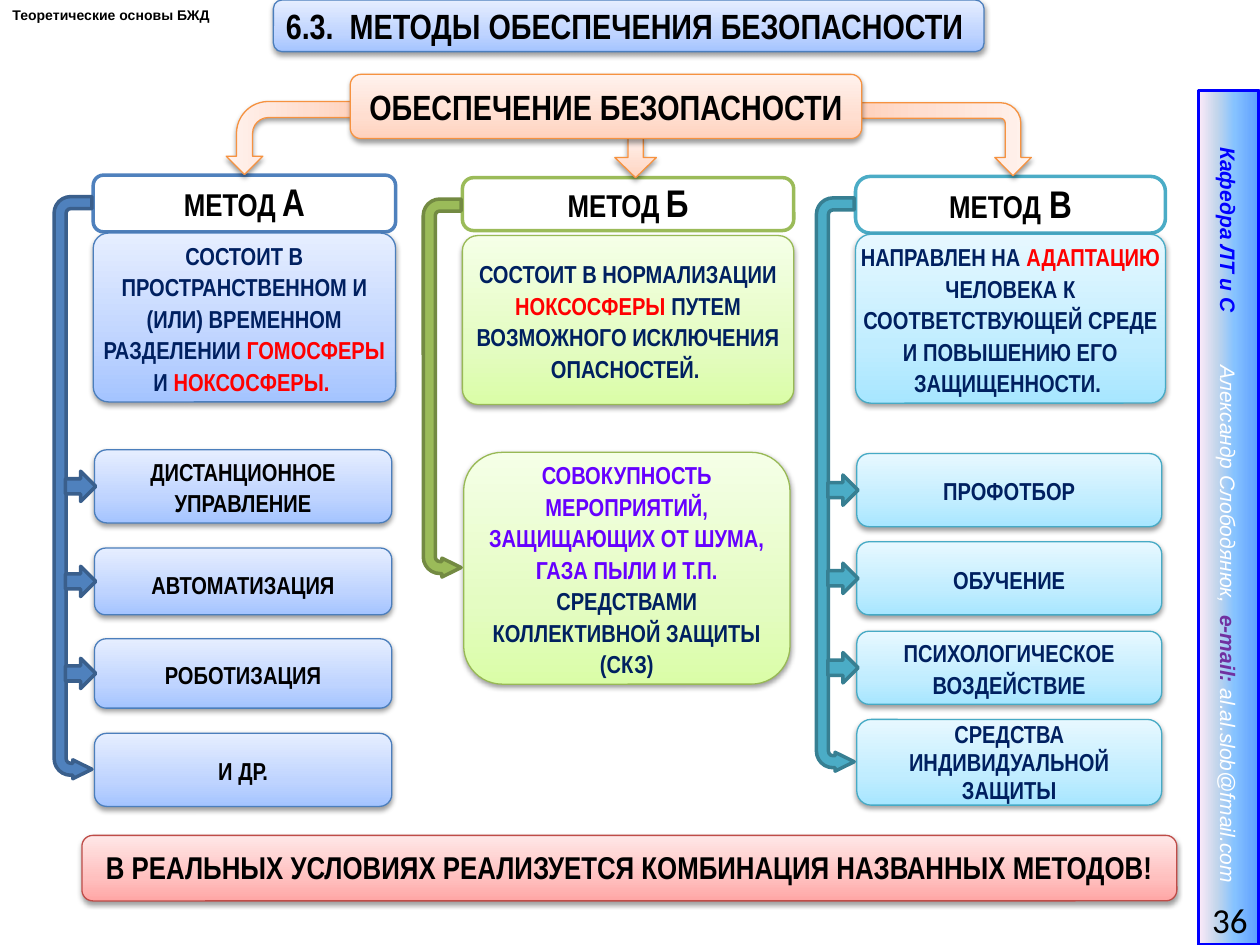
from collections import namedtuple

from lxml import etree
from pptx import Presentation
from pptx.dml.color import RGBColor
from pptx.enum.shapes import MSO_SHAPE
from pptx.enum.text import MSO_ANCHOR, MSO_AUTO_SIZE, PP_ALIGN
from pptx.oxml.ns import qn
from pptx.util import Inches, Pt

ROUNDED, RECTANGLE = MSO_SHAPE.ROUNDED_RECTANGLE, MSO_SHAPE.RECTANGLE
BENT, U_TURN = MSO_SHAPE.BENT_ARROW, MSO_SHAPE.U_TURN_ARROW
DOWN, RIGHT = MSO_SHAPE.DOWN_ARROW, MSO_SHAPE.RIGHT_ARROW
MIDDLE = MSO_ANCHOR.MIDDLE
ALIGN_LEFT, ALIGN_CENTER, ALIGN_RIGHT = PP_ALIGN.LEFT, PP_ALIGN.CENTER, PP_ALIGN.RIGHT

Box = namedtuple("Box", "left top width height")
Theme = namedtuple("Theme", "stops edge accent dark", defaults=(None, None))

BLUE = Theme(((0, "A4C4FF"), (35, "BFD4FF"), (100, "E6EEFF")), "4B7EBC", "4F81BD", "3A5F8C")
GREEN = Theme(((0, "DAFDA7"), (35, "E4FCC2"), (100, "F5FFE7")), "98B955", "9BBB59", "738A42")
CYAN = Theme(((0, "A7E6FF"), (35, "C1EDFF"), (100, "E7F8FF")), "46AAC5", "4BACC6", "377F92")
ORANGE = Theme(((0, "FFD2BD"), (35, "FFDED0"), (100, "FFF2ED")), "F69240")
RED = Theme(((0, "FFA6A5"), (35, "FFC0BF"), (100, "FFE7E7")), "BF4C48")
SKY = ((0, "5E9EFF"), (40, "85C2FF"), (70, "C4D6EB"), (100, "FFEBFA"))
BLACK, NAVY, BRIGHT_RED, WHITE, VIOLET = "000000", "002060", "FF0000", "FFFFFF", "6600FF"
NARROW = "Arial Narrow"


def color(value):
    return RGBColor.from_string(value)


def add_child(parent, tag, **attributes):
    child = etree.SubElement(parent, qn(tag))
    for name, value in attributes.items():
        child.set(name, str(value))
    return child


def fill_gradient(shape, stops, angle):
    shape.fill.gradient()
    shape.fill.gradient_angle = angle
    stop_list = shape._element.spPr.find(qn("a:gradFill")).find(qn("a:gsLst"))
    for old_stop in list(stop_list):
        stop_list.remove(old_stop)
    for percent, value in stops:
        stop = add_child(stop_list, "a:gs", pos=percent * 1000)
        add_child(stop, "a:srgbClr", val=value)


def add_shadow(shape):
    effects = shape._element.spPr.find(qn("a:effectLst"))
    shadow = add_child(effects, "a:outerShdw", blurRad=Pt(3.1), dist=Pt(1.6),
                       dir=5400000, rotWithShape=0)
    add_child(add_child(shadow, "a:srgbClr", val=BLACK), "a:alpha", val=38000)


def add_block(page, kind, box, edge, weight, adjustments=()):
    shape = page.shapes.add_shape(kind, *map(Inches, box))
    shape.shadow.inherit = False
    shape.line.color.rgb = color(edge)
    shape.line.width = Pt(weight)
    for index, value in enumerate(adjustments):
        shape.adjustments[index] = value
    return shape


def add_flat(page, kind, box, fill, edge, adjustments=()):
    shape = add_block(page, kind, box, edge, 2, adjustments)
    shape.fill.solid()
    shape.fill.fore_color.rgb = color(fill)
    return shape


def add_glossy(page, kind, box, theme, adjustments=()):
    shape = add_block(page, kind, box, theme.edge, 0.75, adjustments)
    fill_gradient(shape, theme.stops, 90)
    add_shadow(shape)
    return shape


def add_spans(para, spans, font):
    """Each span is (text, size, colour, bold, italic); the last two may be left out."""
    for text, size, value, *style in spans:
        span = para.add_run()
        span.text = text
        span.font.name, span.font.size = font, Pt(size)
        span.font.color.rgb = color(value)
        span.font.bold, span.font.italic = (style + [True, False][len(style):])


def write(shape, spans, spacing=None, side=0.04, align=ALIGN_CENTER, font=NARROW):
    frame = shape.text_frame
    frame.word_wrap = True
    frame.vertical_anchor = MIDDLE
    frame.margin_left = frame.margin_right = Inches(side)
    frame.margin_top = frame.margin_bottom = Inches(0.04)
    para = frame.paragraphs[0]
    para.alignment = align
    if spacing:
        para.line_spacing = Pt(spacing)
    add_spans(para, spans, font)


def add_banner(page, box, theme, text, size, spacing):
    write(add_glossy(page, ROUNDED, box, theme), [(text, size, BLACK)], spacing)


def add_topic(page, box):
    label = page.shapes.add_textbox(*map(Inches, box))
    label.text_frame.word_wrap = False
    label.text_frame.auto_size = MSO_AUTO_SIZE.SHAPE_TO_FIT_TEXT
    add_spans(label.text_frame.paragraphs[0], [("Теоретические основы БЖД", 8, BLACK)], "Arial")


def add_sidebar(page, box):
    """The strip is laid out lengthwise, then turned to fill the upright box."""
    shift = (box.height - box.width) / 2
    lengthwise = Box(box.left - shift, box.top + shift, box.height, box.width)
    strip = add_block(page, RECTANGLE, lengthwise, "0000FF", 2)
    strip.rotation = 90
    fill_gradient(strip, SKY, 270)
    para = strip.text_frame.paragraphs[0]
    tabs = add_child(para._p.get_or_add_pPr(), "a:tabLst")
    add_child(tabs, "a:tab", pos=Inches(1.73), algn="l")
    write(strip, [("Кафедра ЛТ и С\t", 12, "0000FF", True, True),
                  ("Александр Слободянюк,  ", 12, WHITE, False, True),
                  ("e-mail: ", 12, "7030A0", True, True),
                  ("al.al.slob@fmail.com", 12, WHITE, False, True)],
          align=ALIGN_LEFT, font="Arial")
    strip.text_frame.margin_left = Inches(0.45)
    number = page.shapes.add_textbox(*map(Inches, (9.22, 7.1, 0.78, 0.4)))
    write(number, [("36", 20, BLACK, False)], side=0.1, align=ALIGN_RIGHT, font="Calibri")


def add_method(page, box, theme, letter, gap_size, rounding, description, items):
    """The box is that of the heading; items are (top, height, spacing, spans)."""
    left, top, width, height = box
    heading = add_flat(page, ROUNDED, box, WHITE, theme.accent, [rounding])
    write(heading, [("МЕТОД", 18, BLACK), (" ", gap_size, BLACK), (letter, 22, BLACK)], 24)
    summary = add_glossy(page, ROUNDED, Box(left, top + 0.46, width, 1.34), theme, [0.09])
    write(summary, description, 18, side=0)

    middles = []
    for item_top, item_height, spacing, spans in items:
        item = Box(left + 0.01, item_top, width - 0.04, item_height)
        write(add_glossy(page, ROUNDED, item, theme), spans, spacing)
        middles.append(item_top + item_height / 2)

    length, thickness = middles[-1] + 0.07 - (top + 0.17), 0.3
    center_x, center_y = left - 0.16, top + 0.17 + length / 2
    loop_box = Box(center_x - length / 2, center_y - thickness / 2, length, thickness)
    loop = add_flat(page, U_TURN, loop_box, theme.accent, theme.dark,
                    (0.318, 0.25, 0.506, 0.438, 1))
    loop.rotation = 90
    loop._element.spPr.find(qn("a:xfrm")).set("flipV", "1")
    for middle in middles[:-1]:
        add_flat(page, RIGHT, Box(left - 0.22, middle - 0.12, 0.24, 0.24),
                 theme.accent, theme.dark)


def add_root(page, box):
    """The root heading with its three arrows to the methods."""
    left, top, width, height = box
    right_arrow = add_glossy(page, BENT, Box(left + 4.44, top - 0.16, 0.58, 1.35), ORANGE,
                             (0.213, 0.25, 0.25, 0.281))
    right_arrow.rotation = 90
    left_arrow = add_glossy(page, BENT, Box(left - 0.77, top, 0.58, 1.01), ORANGE,
                            (0.22, 0.25, 0.25, 0.438))
    left_arrow.rotation = 270
    left_arrow._element.spPr.find(qn("a:xfrm")).set("flipH", "1")
    add_glossy(page, DOWN, Box(left + 2.1, top + 0.5, 0.33, 0.32), ORANGE, (0.367, 0.5))
    add_banner(page, box, ORANGE, "ОБЕСПЕЧЕНИЕ БЕЗОПАСНОСТИ", 20, 24)


def main():
    deck = Presentation()
    deck.slide_width, deck.slide_height = Inches(10), Inches(7.5)
    page = deck.slides.add_slide(deck.slide_layouts[6])
    add_topic(page, Box(0, 0, 1.79, 0.24))
    add_banner(page, Box(2.17, 0, 5.64, 0.41), BLUE,
               "6.3.  МЕТОДЫ ОБЕСПЕЧЕНИЯ БЕЗОПАСНОСТИ ", 20, 24)
    add_sidebar(page, Box(9.51, 0.72, 0.48, 6.78))
    add_banner(page, Box(0.65, 6.63, 8.69, 0.52), RED,
               "В РЕАЛЬНЫХ УСЛОВИЯХ РЕАЛИЗУЕТСЯ КОМБИНАЦИЯ НАЗВАННЫХ МЕТОДОВ!", 18, 20)
    add_method(page, Box(0.74, 1.39, 2.4, 0.45), BLUE, "А", 16, 0.18, [
        ("СОСТОИТ В ПРОСТРАНСТВЕННОМ И (ИЛИ) ВРЕМЕННОМ РАЗДЕЛЕНИИ ", 14, NAVY),
        ("ГОМОСФЕРЫ", 14, BRIGHT_RED), (" И ", 14, NAVY), ("НОКСОСФЕРЫ. ", 14, BRIGHT_RED),
    ], [(3.57, 0.58, 18, [("ДИСТАНЦИОННОЕ УПРАВЛЕНИЕ", 14, BLACK)]),
        (4.35, 0.53, 20, [("АВТОМАТИЗАЦИЯ", 14, BLACK)]),
        (5.07, 0.55, 18, [("РОБОТИЗАЦИЯ", 14, BLACK)]),
        (5.82, 0.58, 18, [("И ДР.", 14, BLACK)])])
    add_method(page, Box(3.67, 1.41, 2.63, 0.42), GREEN, "Б", 16, 0.21, [
        ("СОСТОИТ В НОРМАЛИЗАЦИИ ", 14, NAVY), ("НОКСОСФЕРЫ ", 14, BRIGHT_RED),
        ("ПУТЕМ ВОЗМОЖНОГО ИСКЛЮЧЕНИЯ ОПАСНОСТЕЙ. ", 14, NAVY),
    ], [(3.59, 1.84, 18, [
        ("СОВОКУПНОСТЬ МЕРОПРИЯТИЙ, ЗАЩИЩАЮЩИХ ОТ ШУМА, ГАЗА ПЫЛИ И Т.П. ", 14, VIOLET),
        ("СРЕДСТВАМИ КОЛЛЕКТИВНОЙ ЗАЩИТЫ (СКЗ)", 14, NAVY)])])
    add_method(page, Box(6.79, 1.4, 2.46, 0.45), CYAN, "В", 20, 0.26, [
        ("НАПРАВЛЕН НА ", 14, NAVY), ("АДАПТАЦИЮ ", 14, BRIGHT_RED),
        ("ЧЕЛОВЕКА К СООТВЕТСТВУЮЩЕЙ СРЕДЕ И ПОВЫШЕНИЮ ЕГО ЗАЩИЩЕННОСТИ. ", 14, NAVY),
    ], [(3.6, 0.58, 18, [("ПРОФОТБОР", 14, NAVY)]),
        (4.3, 0.58, 18, [("ОБУЧЕНИЕ", 14, NAVY)]),
        (5.01, 0.58, 18, [("ПСИХОЛОГИЧЕСКОЕ ВОЗДЕЙСТВИЕ", 14, NAVY)]),
        (5.71, 0.68, 16, [("СРЕДСТВА ИНДИВИДУАЛЬНОЙ ЗАЩИТЫ", 14, NAVY)])])
    add_root(page, Box(2.78, 0.59, 4.06, 0.51))
    deck.save("out.pptx")


if __name__ == "__main__":
    main()
